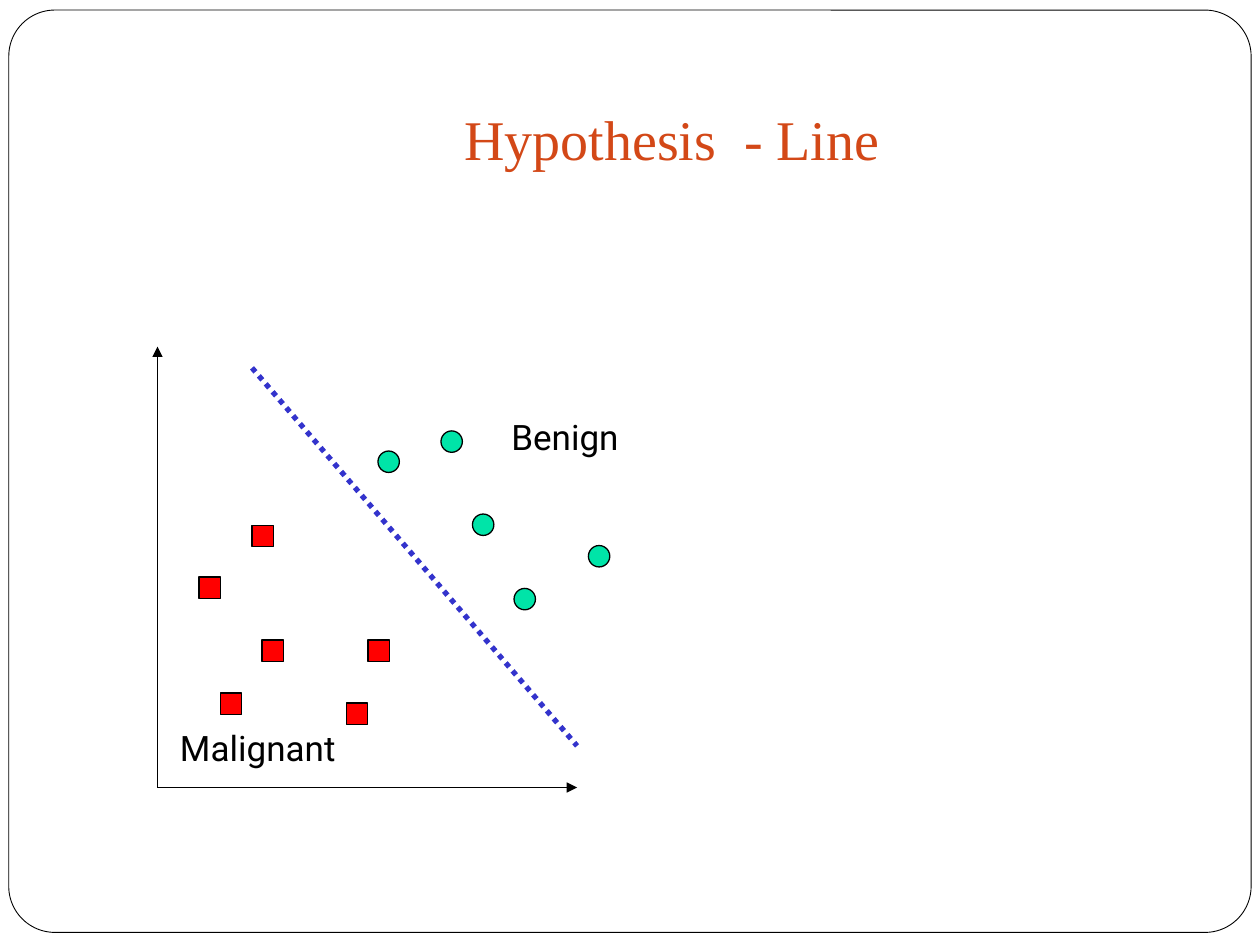
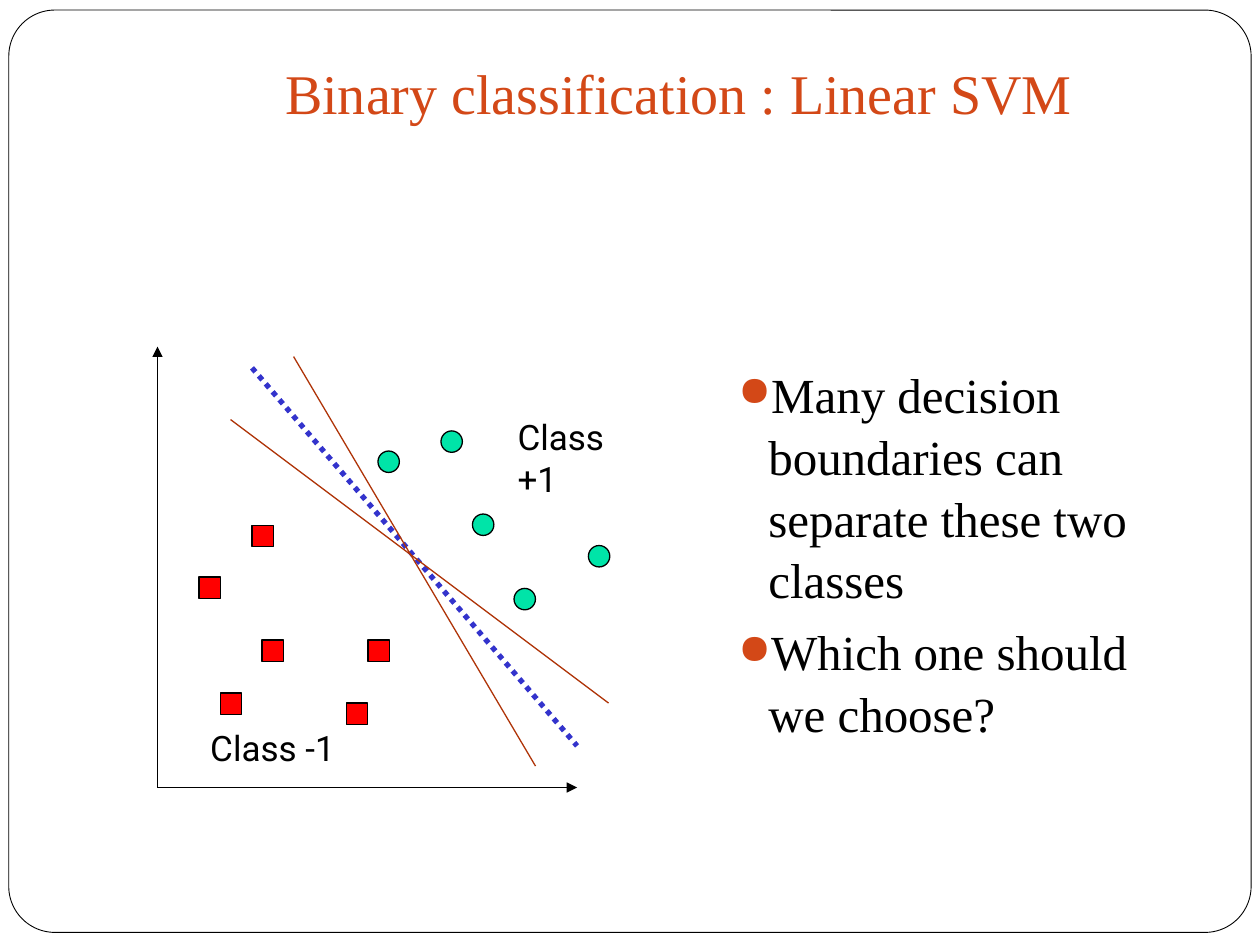
import pptx
import pptx.util
from pptx.dml.color import RGBColor
from pptx.enum.dml import MSO_LINE
from pptx.enum.shapes import MSO_CONNECTOR, MSO_SHAPE
from pptx.enum.text import MSO_ANCHOR, PP_ALIGN
from pptx.oxml.ns import qn
from lxml import etree

Inches = pptx.util.Inches
Pt = pptx.util.Pt

WHITE = RGBColor(0xFF, 0xFF, 0xFF)
BLACK = RGBColor(0, 0, 0)
ORANGE = RGBColor(0xD3, 0x48, 0x17)
RUST = RGBColor(0xAF, 0x34, 0x08)
BLUE = RGBColor(0x33, 0x33, 0xCC)
GREEN = RGBColor(0x00, 0xE4, 0xA8)
RED = RGBColor(0xFF, 0, 0)
SERIF = "Times New Roman"
SANS = "Roboto"

MARKER = 0.17
CIRCLES = [(3.5, 3.42), (3.75, 4.08), (4.67, 4.33), (3, 3.58), (4.08, 4.67)]
SQUARES = [(1.58, 4.58), (2.92, 5.08), (2.75, 5.58),
           (2.08, 5.08), (1.75, 5.5), (2, 4.17)]
ORIGIN = (1.25, 6.25)
AXIS_ENDS = [(1.25, 2.75), (4.58, 6.25)]
OTHER_BOUNDARIES = [((2.33, 2.83), (4.25, 6.08)), ((1.83, 3.33), (4.83, 5.58))]


def add_outlined(s, kind, left, top, width, height, fill, weight=0.75):
    sp = s.shapes.add_shape(kind, Inches(left), Inches(top),
                            Inches(width), Inches(height))
    sp.shadow.inherit = False
    sp.fill.solid()
    sp.fill.fore_color.rgb = fill
    sp.line.color.rgb = BLACK
    sp.line.width = Pt(weight)
    return sp


def add_line(s, start, end, color, weight, dash=None, arrow=False):
    sp = s.shapes.add_connector(MSO_CONNECTOR.STRAIGHT,
                                *map(Inches, start + end))
    sp.line.color.rgb = color
    sp.line.width = Pt(weight)
    if dash:
        sp.line.dash_style = dash
    if arrow:
        etree.SubElement(sp.line._get_or_add_ln(), qn("a:tailEnd"),
                         type="triangle")
    etree.SubElement(sp._element.spPr, qn("a:effectLst"))


def add_text_frame(s, left, top, width, height):
    tf = s.shapes.add_textbox(Inches(left), Inches(top),
                              Inches(width), Inches(height)).text_frame
    tf.word_wrap = True
    return tf


def add_run(p, text, size, font, color):
    r = p.add_run()
    r.text = text
    r.font.size = Pt(size)
    r.font.name = font
    r.font.color.rgb = color


def add_label(s, text, left, top, width, right_inset=0.1):
    tf = add_text_frame(s, left, top, width, 0.44)
    tf.margin_right = Inches(right_inset)
    add_run(tf.paragraphs[0], text, 20, SANS, BLACK)


def add_titled_slide(prs, title, top):
    """Add a blank slide with the rounded frame and a centred title."""
    s = prs.slides.add_slide(prs.slide_layouts[6])
    frame = add_outlined(s, MSO_SHAPE.ROUNDED_RECTANGLE,
                         0.07, 0.08, 9.86, 7.32, WHITE, 0.5)
    frame.adjustments[0] = 0.05
    tf = add_text_frame(s, 1, top, 8.78, 1.3)
    tf.vertical_anchor = MSO_ANCHOR.BOTTOM
    p = tf.paragraphs[0]
    p.alignment = PP_ALIGN.CENTER
    add_run(p, title, 32, SERIF, ORANGE)
    return s


def add_scatter(s):
    """Draw the axes, both classes of points and the dotted boundary."""
    for end in AXIS_ENDS:
        add_line(s, ORIGIN, end, BLACK, 1, arrow=True)
    for kind, color, points in ((MSO_SHAPE.OVAL, GREEN, CIRCLES),
                                (MSO_SHAPE.RECTANGLE, RED, SQUARES)):
        for left, top in points:
            add_outlined(s, kind, left, top, MARKER, MARKER, color)
    add_line(s, (2, 2.92), (4.58, 5.92), BLUE, 3, dash=MSO_LINE.ROUND_DOT)


def set_bullet(p):
    pPr = p._p.get_or_add_pPr()
    pPr.set("marL", str(Inches(0.24)))
    pPr.set("indent", str(-Inches(0.24)))
    color = etree.SubElement(pPr, qn("a:buClr"))
    etree.SubElement(color, qn("a:srgbClr"), val=str(ORANGE))
    etree.SubElement(pPr, qn("a:buSzPct"), val="85000")
    etree.SubElement(pPr, qn("a:buChar"), char="●")


def add_bullets(s, items):
    tf = add_text_frame(s, 5.76, 2.8, 3.83, 3.45)
    tf.margin_top = Inches(0.07)
    for i, item in enumerate(items):
        p = tf.add_paragraph() if i else tf.paragraphs[0]
        set_bullet(p)
        p.line_spacing = 1.05
        if i:
            p.space_before = Pt(5.8)
        add_run(p, item, 28, SERIF, BLACK)


def main():
    prs = pptx.Presentation()
    prs.slide_width = Inches(10)
    prs.slide_height = Inches(7.5)

    s = add_titled_slide(prs, "Hypothesis  - Line ", 0.11)
    add_scatter(s)
    add_label(s, "Malignant", 1.33, 5.72, 1.82)
    add_label(s, "Benign", 3.96, 3.25, 1.12)

    s = add_titled_slide(prs, "Binary classification : Linear SVM", -0.25)
    add_scatter(s)
    add_label(s, "Class -1", 1.57, 5.72, 1.25)
    add_label(s, "Class +1", 4.01, 3.25, 1.26, right_inset=0.3)
    add_bullets(s, ["Many decision boundaries can separate these two classes",
                    "Which one should we choose?"])
    for start, end in OTHER_BOUNDARIES:
        add_line(s, start, end, RUST, 0.75)

    prs.save("out.pptx")


if __name__ == "__main__":
    main()
